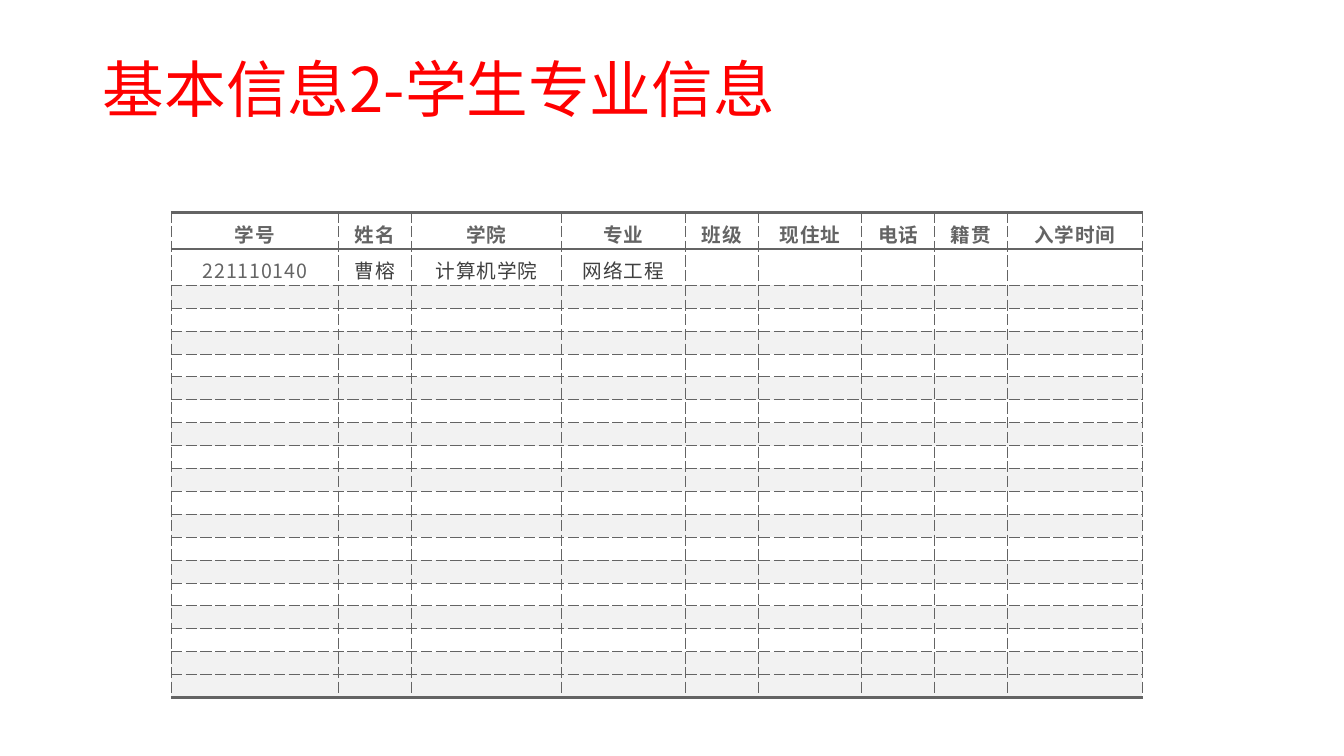
"""Build the slide with the table of student major information."""
from dataclasses import dataclass

from lxml import etree
from pptx import Presentation
from pptx import util as u
from pptx.dml.color import RGBColor
from pptx.enum import text
from pptx.oxml.ns import qn

HEADING = "基本信息2-学生专业信息"
FIELDS = ["学号", "姓名", "学院", "专业", "班级", "现住址", "电话", "籍贯", "入学时间"]
STUDENT = ["221110140", "曹榕", "计算机学院", "网络工程"]
BLANK_ROWS = 18
FIELD_WIDTHS = [1.66, 0.72, 1.49, 1.23, 0.72, 1.03, 0.72, 0.72, 1.34]
TEXT_HEIGHT = 0.27
BLANK_HEIGHT = 4.09 / BLANK_ROWS


@dataclass(frozen=True)
class Theme:
    font: str = "Noto Sans CJK SC"
    heading: str = "FF0000"
    grey: str = "646464"
    dark: str = "404040"
    white: str = "FFFFFF"
    band: str = "F2F2F2"
    heading_size: float = 44
    cell_size: float = 14
    blank_size: float = 6
    thin: float = 0.75
    thick: float = 2.25


THEME = Theme()


def style_run(run, size, color, bold=False):
    run.font.size = u.Pt(size)
    run.font.bold = bold
    run.font.name = THEME.font
    run.font.color.rgb = RGBColor.from_string(color)
    properties = run.font._element
    etree.SubElement(properties, qn("a:ea"), typeface=THEME.font)
    return properties


def add_border(cell, side, thick):
    width = u.Pt(THEME.thick if thick else THEME.thin)
    line = etree.SubElement(cell._tc.get_or_add_tcPr(), qn(f"a:ln{side}"), w=str(int(width)))
    fill = etree.SubElement(line, qn("a:solidFill"))
    etree.SubElement(fill, qn("a:srgbClr"), val=THEME.grey)
    etree.SubElement(line, qn("a:prstDash"), val="solid" if thick else "sysDash")


def fill_cell(cell, words, row, column, last):
    cell.margin_left = cell.margin_right = u.Inches(0.03)
    cell.margin_top = cell.margin_bottom = u.Inches(0.01)
    cell.vertical_anchor = text.MSO_ANCHOR.MIDDLE
    thick_sides = {"T": row in (0, 1), "B": row in (0, last)}
    for side in "LRTB":
        add_border(cell, side, thick_sides.get(side, False))
    banded = row == last or (row > 0 and row % 2 == 0)
    cell.fill.solid()
    cell.fill.fore_color.rgb = RGBColor.from_string(THEME.band if banded else THEME.white)

    paragraph = cell.text_frame.paragraphs[0]
    if not words:
        etree.SubElement(paragraph._p, qn("a:endParaRPr"), sz=str(int(THEME.blank_size * 100)))
        return
    paragraph.text = words
    paragraph.alignment = text.PP_ALIGN.CENTER
    paragraph.line_spacing = 1.2
    color = THEME.dark if row and column else THEME.grey
    style_run(paragraph.runs[0], THEME.cell_size, color, bold=row == 0).set("spc", "60")


def add_heading(slide):
    heading = slide.shapes.title
    heading.left, heading.top = u.Inches(0.92), u.Inches(0.4)
    heading.width, heading.height = u.Inches(11.5), u.Inches(1.04)
    frame = heading.text_frame
    frame.text = HEADING
    frame.auto_size = text.MSO_AUTO_SIZE.NONE
    frame.vertical_anchor = text.MSO_ANCHOR.MIDDLE
    paragraph = frame.paragraphs[0]
    paragraph.alignment = text.PP_ALIGN.LEFT
    paragraph.line_spacing = 0.9
    style_run(paragraph.runs[0], THEME.heading_size, THEME.heading)


def add_students(slide):
    records = [FIELDS, STUDENT] + [[]] * BLANK_ROWS
    heights = [TEXT_HEIGHT] * 2 + [BLANK_HEIGHT] * BLANK_ROWS
    students = slide.shapes.add_table(
        len(records), len(FIELDS), u.Inches(1.7), u.Inches(2.11),
        u.Inches(sum(FIELD_WIDTHS)), u.Inches(sum(heights))).table
    students.first_row = students.horz_banding = False
    for column, width in zip(students.columns, FIELD_WIDTHS):
        column.width = u.Inches(width)
    for row, (record, height) in enumerate(zip(records, heights)):
        students.rows[row].height = u.Inches(height)
        for column in range(len(FIELDS)):
            words = record[column] if column < len(record) else ""
            fill_cell(students.cell(row, column), words, row, column, len(records) - 1)


def main():
    deck = Presentation()
    deck.slide_width, deck.slide_height = u.Inches(13.33), u.Inches(7.5)
    slide = deck.slides.add_slide(deck.slide_layouts[5])
    add_heading(slide)
    add_students(slide)
    deck.save("out.pptx")


if __name__ == "__main__":
    main()
